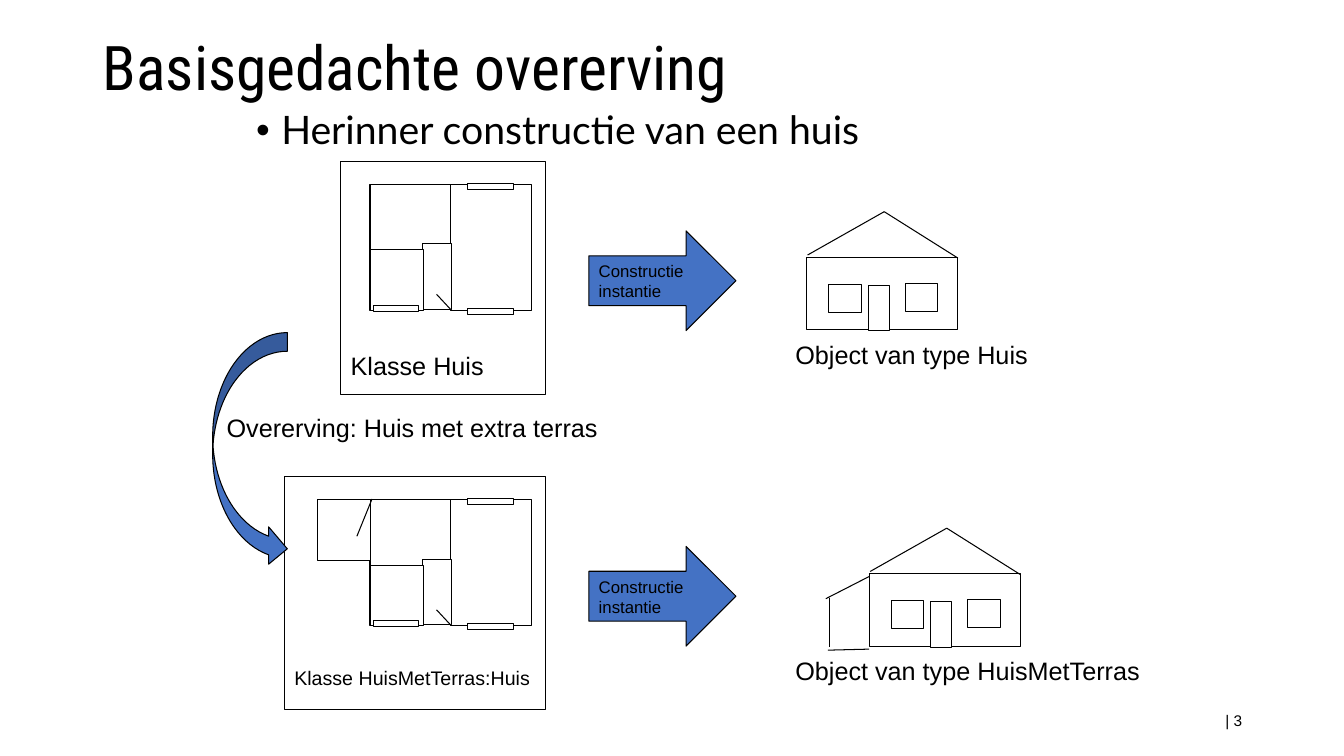
from dataclasses import dataclass

from lxml import etree
from pptx import Presentation
from pptx import util as u
from pptx.dml.color import RGBColor
from pptx.enum import shapes, text
from pptx.oxml import ns

PX = 9144  # EMU in one px, 100 px to the inch
BLACK = RGBColor(0x00, 0x00, 0x00)
WHITE = RGBColor(0xFF, 0xFF, 0xFF)
BLUE = RGBColor(0x44, 0x72, 0xC4)
KIND = shapes.MSO_SHAPE


@dataclass(frozen=True)
class Box:
    x: int
    y: int
    w: int
    h: int

    def move(self, dx: int, dy: int) -> "Box":
        return Box(self.x + dx, self.y + dy, self.w, self.h)

    def scale(self) -> list[int]:
        return [n * PX for n in (self.x, self.y, self.w, self.h)]


@dataclass(frozen=True)
class Line:
    x1: int
    y1: int
    x2: int
    y2: int

    def move(self, dx: int, dy: int) -> "Line":
        return Line(self.x1 + dx, self.y1 + dy, self.x2 + dx, self.y2 + dy)


@dataclass(frozen=True)
class Row:
    drop: int  # shift down from the first row
    shift: int  # shift of the house to the right
    rise: int  # shift of the house down
    card: Box
    name: str
    size: int
    label: str
    width: int


# Floor plan: rooms, door and windows, as in the first row
ROOMS = [Box(367, 183, 80, 65), Box(447, 183, 80, 125),
         Box(419, 242, 29, 65), Box(367, 248, 53, 60)]
DOOR = Line(433, 292, 447, 307)
PANES = [Box(370, 303, 45, 6), Box(464, 306, 45, 6), Box(464, 182, 45, 6)]

# House: front, windows, door and roof
FRONT = [Box(800, 255, 150, 72), Box(822, 282, 32, 28),
         Box(898, 281, 32, 28), Box(861, 283, 21, 45)]
ROOF = [Line(801, 253, 877, 210), Line(877, 210, 950, 256)]

# Terrace: on the plan and beside the house
DECK = Box(315, 496, 53, 60)
PORCH = [Line(354, 532, 369, 495), Line(862, 572, 819, 594),
         Line(823, 593, 823, 642), Line(821, 645, 862, 644)]

ROWS = [
    Row(0, 0, 0, Box(338, 160, 203, 231), "Klasse Huis", 18,
        "Object van type Huis", 253),
    Row(313, 62, 314, Box(282, 473, 259, 231), "Klasse HuisMetTerras:Huis", 14,
        "Object van type HuisMetTerras", 365),
]

deck = Presentation()
deck.slide_width, deck.slide_height = 1333 * PX, 750 * PX
slide = deck.slides.add_slide(deck.slide_layouts[1])


def write(frame, words: str, size: int, font: str = "Arial",
          align=text.PP_ALIGN.LEFT, anchor=text.MSO_ANCHOR.TOP) -> None:
    frame.text = words
    frame.vertical_anchor = anchor
    for para in frame.paragraphs:
        para.alignment = align
        for run in para.runs:
            run.font.size = u.Pt(size)
            run.font.name = font
            run.font.color.rgb = BLACK


def draw(box: Box, kind=KIND.RECTANGLE, fill: RGBColor = WHITE):
    shape = slide.shapes.add_shape(kind, *box.scale())
    shape.shadow.inherit = False
    shape.fill.solid()
    shape.fill.fore_color.rgb = fill
    shape.line.color.rgb = BLACK
    shape.line.width = u.Pt(0.75)
    return shape


def link(line: Line) -> None:
    ends = [n * PX for n in (line.x1, line.y1, line.x2, line.y2)]
    stroke = slide.shapes.add_connector(shapes.MSO_CONNECTOR.STRAIGHT, *ends)
    stroke.line.color.rgb = BLACK
    stroke.line.width = u.Pt(0.75)
    etree.SubElement(stroke._element.spPr, ns.qn("a:effectLst"))


def note(box: Box, words: str, size: int, wrap: bool = True, **style) -> None:
    frame = slide.shapes.add_textbox(*box.scale()).text_frame
    frame.word_wrap = wrap
    write(frame, words, size, **style)


def fill_holder(holder, box: Box, words: str, size: int, font: str, anchor) -> None:
    holder.left, holder.top, holder.width, holder.height = box.scale()
    write(holder.text_frame, words, size, font, anchor=anchor)
    holder.text_frame.auto_size = text.MSO_AUTO_SIZE.NONE
    holder.text_frame.paragraphs[0].line_spacing = 0.9


def draw_row(row: Row) -> None:
    # Class card with its floor plan
    frame = draw(row.card).text_frame
    frame.margin_top = 188 * PX
    write(frame, row.name, row.size)
    for room in ROOMS:
        draw(room.move(0, row.drop))
    link(DOOR.move(0, row.drop))
    for pane in PANES:
        draw(pane.move(0, row.drop))

    # Arrow from class to object
    arrow = draw(Box(584, 229, 146, 99).move(0, row.drop), KIND.RIGHT_ARROW, BLUE)
    write(arrow.text_frame, "Constructie\ninstantie", 12)

    # House and its label
    for part in FRONT:
        draw(part.move(row.shift, row.rise))
    for edge in ROOF:
        link(edge.move(row.shift, row.rise))
    note(Box(779, 332 + row.drop, row.width, 40), row.label, 18, wrap=False)


# Title, list and page number
title, body = slide.placeholders
fill_holder(title, Box(92, -3, 1150, 145), "Basisgedachte overerving", 44,
            "Roboto Condensed", text.MSO_ANCHOR.MIDDLE)
fill_holder(body, Box(244, 105, 898, 536), "Herinner constructie van een huis", 28,
            "Lato", text.MSO_ANCHOR.TOP)
item = body.text_frame.paragraphs[0]
item.space_before = u.Pt(10)
props = item._p.get_or_add_pPr()
props.set("marL", str(25 * PX))
props.set("indent", str(-25 * PX))
etree.SubElement(props, ns.qn("a:buFont"), typeface="Arial")
etree.SubElement(props, ns.qn("a:buChar"), char="•")
note(Box(942, 695, 300, 40), "| 3", 11, align=text.PP_ALIGN.RIGHT,
     anchor=text.MSO_ANCHOR.MIDDLE)

# Classes and their objects
for row in ROWS:
    draw_row(row)

# Extra terrace
draw(DECK)
for edge in PORCH:
    link(edge)

# Inheritance
draw(Box(211, 330, 74, 233), KIND.CURVED_RIGHT_ARROW, BLUE)
note(Box(215, 404, 484, 40), "Overerving: Huis met extra terras", 18)

deck.save("out.pptx")
